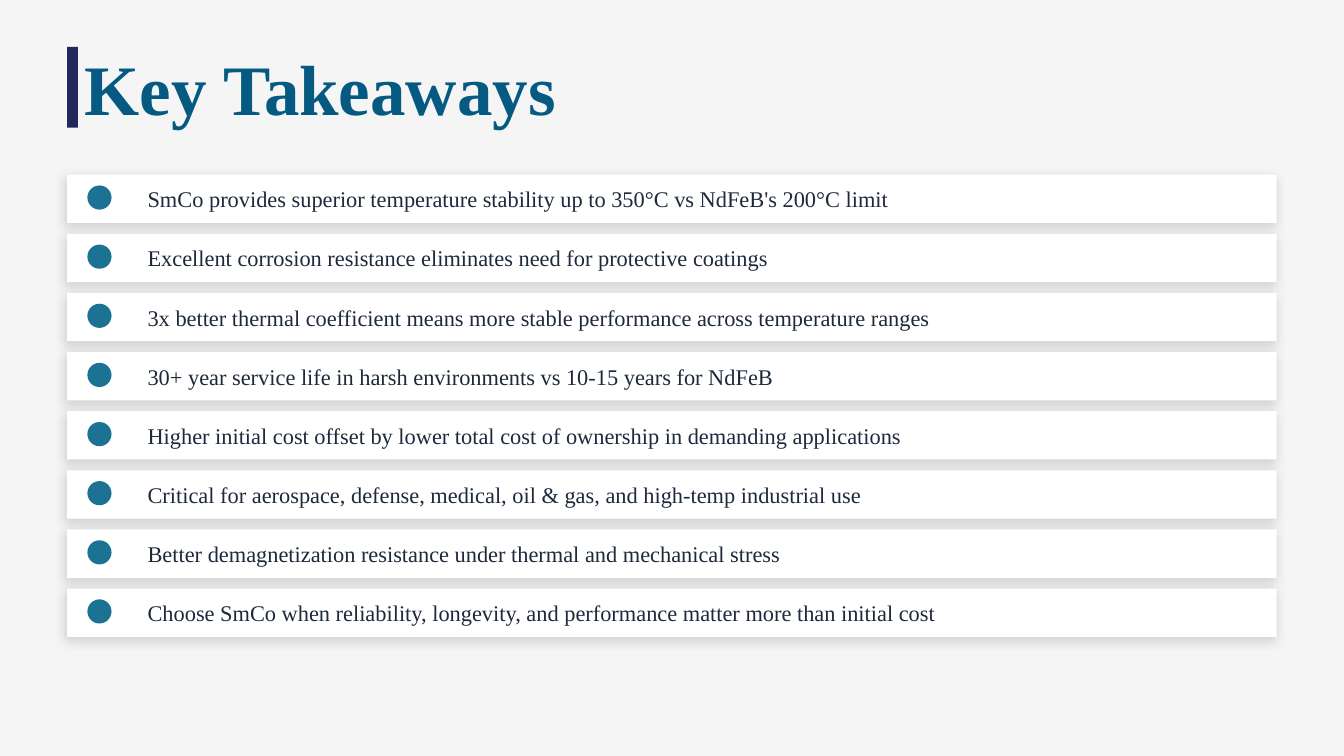
"""Build the Key Takeaways slide: a title with an accent bar above a stack of cards."""
from lxml import etree
from pptx import Presentation
from pptx import util as u
from pptx.dml.color import RGBColor
from pptx.enum import shapes, text
from pptx.oxml import ns

TITLE = "Key Takeaways"
TAKEAWAYS = [
    "SmCo provides superior temperature stability up to 350°C vs NdFeB's 200°C limit",
    "Excellent corrosion resistance eliminates need for protective coatings",
    "3x better thermal coefficient means more stable performance across temperature ranges",
    "30+ year service life in harsh environments vs 10-15 years for NdFeB",
    "Higher initial cost offset by lower total cost of ownership in demanding applications",
    "Critical for aerospace, defense, medical, oil & gas, and high-temp industrial use",
    "Better demagnetization resistance under thermal and mechanical stress",
    "Choose SmCo when reliability, longevity, and performance matter more than initial cost",
]

FONT = "Times New Roman"
BACKGROUND = RGBColor(0xF5, 0xF5, 0xF5)
TITLE_BLUE = RGBColor(0x06, 0x5A, 0x82)
NAVY = RGBColor(0x21, 0x29, 0x5C)
WHITE = RGBColor(0xFF, 0xFF, 0xFF)
TEAL = RGBColor(0x1C, 0x72, 0x93)
INK = RGBColor(0x1E, 0x29, 0x3B)

PX = u.Inches(1) // 200
PAGE_WIDTH, PAGE_HEIGHT = 2000, 1125
MARGIN = 100
CONTENT_WIDTH = PAGE_WIDTH - 2 * MARGIN
TITLE_INSET, TEXT_INSET = 26, 20
CARD_TOP, CARD_HEIGHT, CARD_GAP = 260, 72, 16
DOT_LEFT, DOT_DROP, DOT_SIZE = 130, 16, 36
TEXT_LEFT, TEXT_WIDTH = 200, 1660


def scaled(*lengths):
    return [length * PX for length in lengths]


def add_block(page, kind, bounds, color):
    shape = page.shapes.add_shape(kind, *scaled(*bounds))
    shape.fill.solid()
    shape.fill.fore_color.rgb = color
    shape.line.fill.background()
    shape.shadow.inherit = False
    return shape


def add_soft_shadow(shape):
    effects = shape._element.spPr.find(ns.qn("a:effectLst"))
    shadow = etree.SubElement(
        effects, ns.qn("a:outerShdw"), blurRad=str(u.Pt(6)), dist=str(u.Pt(2)),
        dir=str(135 * 60000), algn="bl", rotWithShape="0")
    color = etree.SubElement(shadow, ns.qn("a:srgbClr"), val="000000")
    etree.SubElement(color, ns.qn("a:alpha"), val="15000")


def add_text(page, words, bounds, inset, size, color, bold=False):
    frame = page.shapes.add_textbox(*scaled(*bounds)).text_frame
    frame.word_wrap = True
    frame.vertical_anchor = text.MSO_ANCHOR.MIDDLE
    frame.margin_left = inset * PX
    frame.margin_top = frame.margin_bottom = frame.margin_right = 0
    para = frame.paragraphs[0]
    para.text = words
    font = para.font
    font.name, font.size, font.bold = FONT, u.Pt(size), bold
    font.color.rgb = color


def add_card(page, index, words):
    top = CARD_TOP + index * (CARD_HEIGHT + CARD_GAP)
    card = add_block(page, shapes.MSO_SHAPE.RECTANGLE,
                     (MARGIN, top, CONTENT_WIDTH, CARD_HEIGHT), WHITE)
    add_soft_shadow(card)
    add_block(page, shapes.MSO_SHAPE.OVAL,
              (DOT_LEFT, top + DOT_DROP, DOT_SIZE, DOT_SIZE), TEAL)
    add_text(page, words, (TEXT_LEFT, top, TEXT_WIDTH, CARD_HEIGHT), TEXT_INSET, 12, INK)


def main():
    deck = Presentation()
    deck.slide_width, deck.slide_height = scaled(PAGE_WIDTH, PAGE_HEIGHT)
    page = deck.slides.add_slide(deck.slide_layouts[6])
    page.background.fill.solid()
    page.background.fill.fore_color.rgb = BACKGROUND

    add_text(page, TITLE, (MARGIN, 80, CONTENT_WIDTH, 100), TITLE_INSET, 38, TITLE_BLUE, bold=True)
    add_block(page, shapes.MSO_SHAPE.RECTANGLE, (MARGIN, 70, 16, 120), NAVY)
    for index, words in enumerate(TAKEAWAYS):
        add_card(page, index, words)
    deck.save("out.pptx")


if __name__ == "__main__":
    main()
